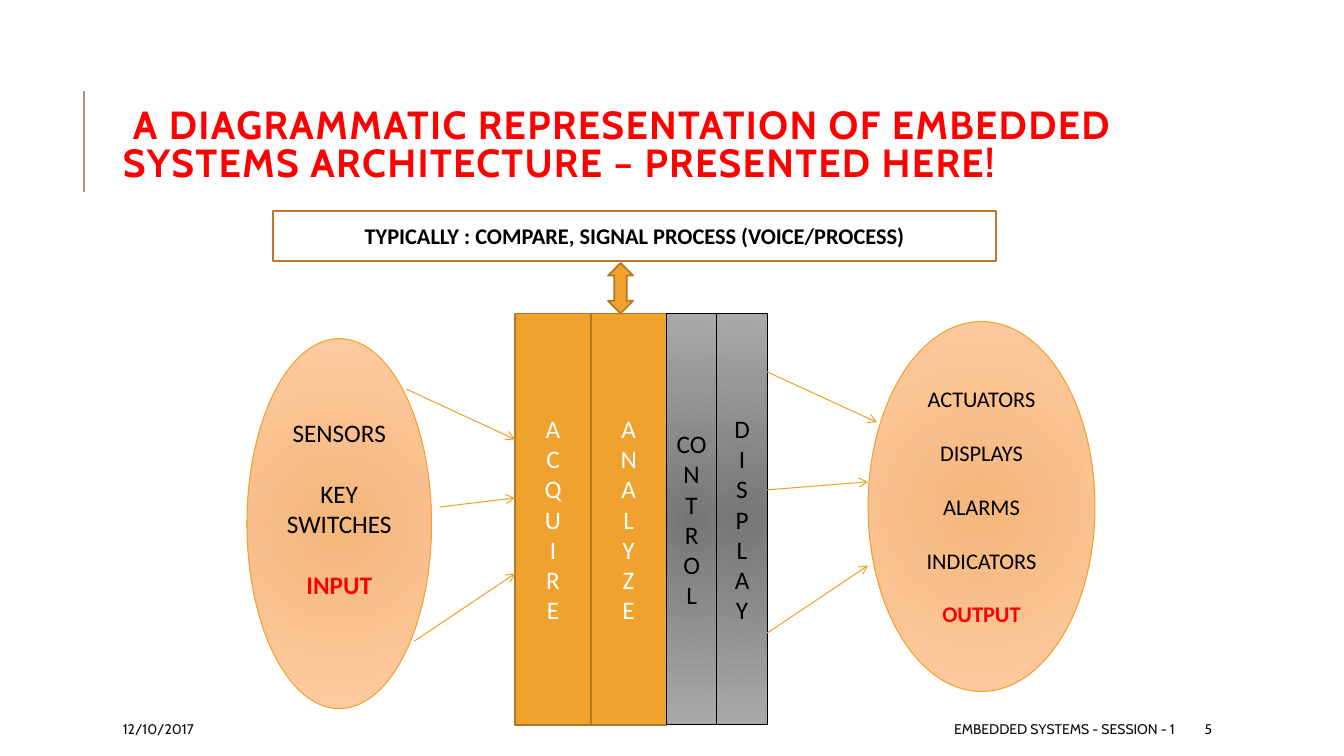
from lxml import etree
from pptx import Presentation
from pptx import util as u
from pptx.dml.color import RGBColor
from pptx.enum import shapes, text
from pptx.oxml.ns import qn

COLORS = {
    "red": "FF0000", "black": "000000", "white": "FFFFFF", "ink": "0D0D0D",
    "orange": "F0A22E", "brown": "B27822", "rust": "C17529", "rose": "B58B80",
    "peach": "F3B67B", "light peach": "FFCCA3", "gray": "767676", "light gray": "A9A9A9",
}
PEACH = ("peach", "light peach")
GRAY = ("gray", "light gray")

TITLE = " A DIAGRAMMATIC REPRESENTATION OF EMBEDDED SYSTEMS ARCHITECTURE – PRESENTED HERE!"
PROCESSING = "TYPICALLY : COMPARE, SIGNAL PROCESS (VOICE/PROCESS)"
STAGES = [
    ("ACQUIRE", 0.75, "orange", "brown", 1.25, "white"),
    ("ANALYZE", 0.75, "orange", "brown", 1.25, "white"),
    (["CO", *"NTROL"], 0.5, GRAY, "black", 0.75, "black"),
    ("DISPLAY", 0.5, GRAY, "black", 0.75, "black"),
]
ENDS = [
    ((2.45, 3.36, 1.83, 3.67), 18, ["SENSORS", "KEY", "SWITCHES", "INPUT"], {1, 3}, 0.35),
    ((8.61, 3.19, 2.25, 3.67), 16,
     ["ACTUATORS", "DISPLAYS", "ALARMS", "INDICATORS", "OUTPUT"], {1, 2, 3, 4}, 0.05),
]
STAGE_LEFT, STAGE_TOP, STAGE_HEIGHT = 5.11, 3.11, 4.08
STAGE_RIGHT = STAGE_LEFT + sum(stage[1] for stage in STAGES)
INPUT_ARROWS = [((4.03, 3.86), 4.36), ((4.36, 5.03), 4.94), ((4.11, 6.36), 5.69)]
OUTPUT_ARROWS = [(3.69, (8.7, 4.19)), (4.86, (8.61, 4.78)), (6.28, (8.61, 5.61))]
FOOTER = [
    ("12/10/2017", 1.12, 2.36, "LEFT"),
    ("EMBEDDED SYSTEMS - SESSION - 1", 5.3, 6.45, "RIGHT"),
    ("5", 11.85, 1.06, "LEFT"),
]

deck = Presentation()
deck.slide_width, deck.slide_height = u.Inches(13.33), u.Inches(7.5)
slide = deck.slides.add_slide(deck.slide_layouts[6])


def rgb(name):
    return RGBColor.from_string(COLORS[name])


def inches(values):
    return [u.Inches(value) for value in values]


def write(holder, lines, size, color, font="Calibri", align="CENTER", bold=False,
          side=0.1, bottom=0.05):
    frame = holder.text_frame
    frame.word_wrap = True
    frame.vertical_anchor = text.MSO_ANCHOR.MIDDLE
    frame.margin_left = frame.margin_right = u.Inches(side)
    frame.margin_bottom = u.Inches(bottom)
    frame.text = "\n".join(lines)
    for paragraph in frame.paragraphs:
        paragraph.alignment = getattr(text.PP_ALIGN, align)
        for run in paragraph.runs:
            run.font.name, run.font.size, run.font.bold = font, u.Pt(size), bold
            run.font.color.rgb = rgb(color)
    return frame.paragraphs


def add_block(kind, box, fill, line, width):
    block = slide.shapes.add_shape(kind, *inches(box))
    block.shadow.inherit = False
    block.line.color.rgb, block.line.width = rgb(line), u.Pt(width)
    if isinstance(fill, str):
        block.fill.solid()
        block.fill.fore_color.rgb = rgb(fill)
        return block
    block.fill.gradient()
    for stop, name, position in zip(block.fill.gradient_stops, fill, (0, 1)):
        stop.color.rgb, stop.position = rgb(name), position
    gradient = block._element.spPr.find(qn("a:gradFill"))
    gradient.remove(gradient.find(qn("a:lin")))
    radial = etree.SubElement(gradient, qn("a:path"), {"path": "circle"})
    etree.SubElement(radial, qn("a:fillToRect"), dict.fromkeys("ltrb", "100000"))
    return block


def add_line(start, end, color, width, arrow=False):
    line = slide.shapes.add_connector(
        shapes.MSO_CONNECTOR.STRAIGHT, *inches((*start, *end)))
    line.line.color.rgb, line.line.width = rgb(color), u.Pt(width)
    if arrow:
        etree.SubElement(line.line._get_or_add_ln(), qn("a:tailEnd"), {"type": "arrow"})
    etree.SubElement(line._element.spPr, qn("a:effectLst"))


add_line((0.83, 1.9), (0.83, 0.9), "rose", 1.5)
title = slide.shapes.add_textbox(*inches((1.12, 0.64, 10.63, 1.64)))
heading = write(title, [TITLE], 28, "red", "Cabin", "LEFT", True)[0]
heading.line_spacing = 0.8
heading.runs[0].font._element.set("spc", "100")

for box, size, devices, gaps, bottom in ENDS:
    oval = add_block(shapes.MSO_SHAPE.OVAL, box, PEACH, "orange", 0.75)
    paragraphs = write(oval, devices, size, "black", bottom=bottom)
    for index in gaps:
        paragraphs[index].space_before = u.Pt(size * 1.2)
    role = paragraphs[-1].runs[0].font
    role.bold, role.color.rgb = True, rgb("red")

left = STAGE_LEFT
for letters, width, fill, line, line_width, color in STAGES:
    stage = add_block(shapes.MSO_SHAPE.RECTANGLE, (left, STAGE_TOP, width, STAGE_HEIGHT),
                      fill, line, line_width)
    write(stage, letters, 18, color, side=0.05)
    left += width

for start_y, target in OUTPUT_ARROWS:
    add_line((STAGE_RIGHT, start_y), target, "orange", 0.75, True)
for source, end_y in INPUT_ARROWS:
    add_line(source, (STAGE_LEFT, end_y), "orange", 0.75, True)

processing = add_block(shapes.MSO_SHAPE.RECTANGLE, (2.71, 2.09, 7.17, 0.5),
                       "white", "rust", 1.25)
write(processing, [PROCESSING], 16, "black", bold=True)
add_block(shapes.MSO_SHAPE.UP_DOWN_ARROW, (6.03, 2.61, 0.25, 0.5), "orange", "brown", 1.25)

for label, left, width, align in FOOTER:
    note = slide.shapes.add_textbox(*inches((left, 7.08, width, 0.3)))
    write(note, [label], 10, "ink", "Cabin", align)

deck.save("out.pptx")
